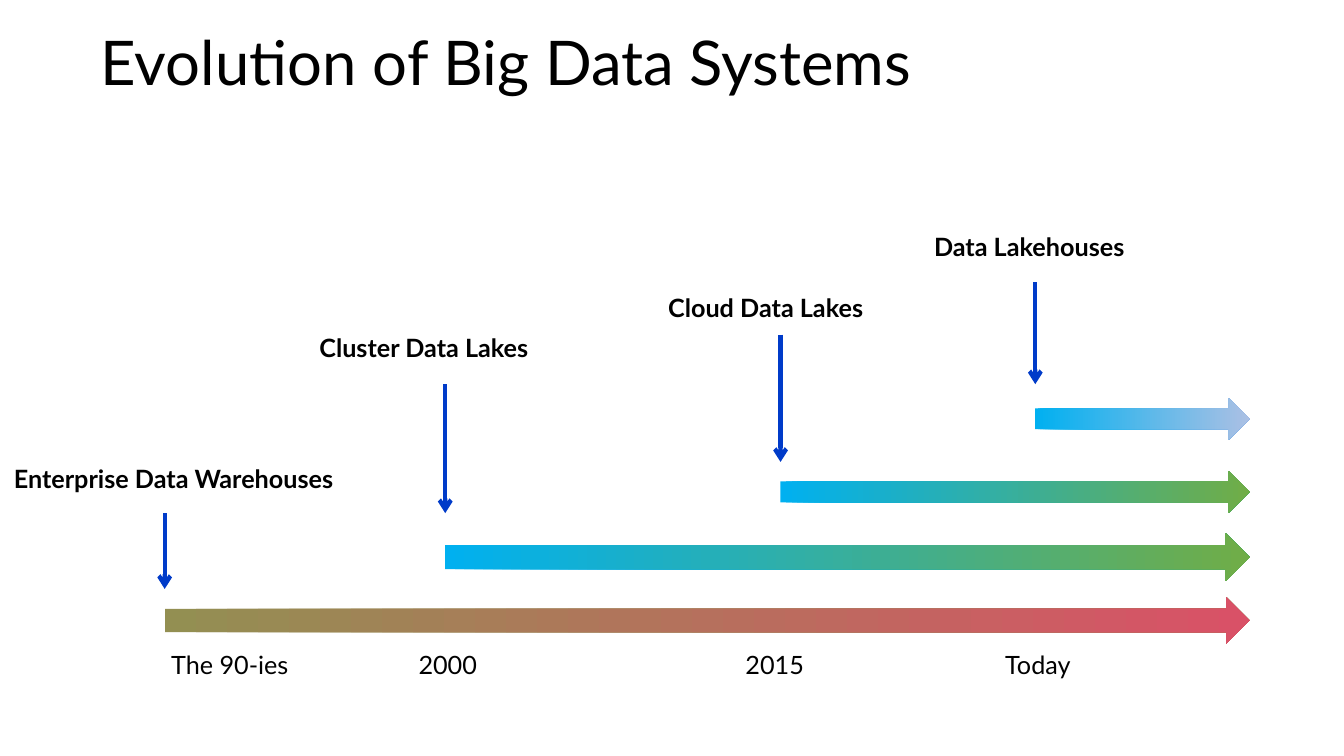
from dataclasses import dataclass

from lxml import etree
from pptx import Presentation
from pptx.dml.color import RGBColor
from pptx.enum.shapes import MSO_CONNECTOR, MSO_SHAPE
from pptx.enum.text import MSO_ANCHOR, PP_ALIGN
from pptx.oxml.ns import qn
from pptx.util import Cm, Pt

RIGHT_ARROW = MSO_SHAPE.RIGHT_ARROW
STRAIGHT = MSO_CONNECTOR.STRAIGHT
LEFT, RIGHT = PP_ALIGN.LEFT, PP_ALIGN.RIGHT
TOP, MIDDLE = MSO_ANCHOR.TOP, MSO_ANCHOR.MIDDLE

FONT = "Lato"
BLACK, BLUE = "000000", "003BC9"
OLIVE, RED = "938F52", "D95167"
CYAN, GREEN, PALE_BLUE = "00B0F0", "70AD47", "ABC0E4"
BAR_END = 31.49
YEAR_TOP = 16.23
TEXT_HEIGHT = 1.02


@dataclass
class Era:
    """One system generation; all lengths are in centimetres."""
    name: str
    label_box: tuple
    year: str
    year_left: float
    year_width: float
    start: float
    bar_top: float
    bar_height: float
    pointer_top: float
    pointer_bottom: float
    colors: tuple


ERAS = [
    Era("Enterprise Data Warehouses", (0.1, 11.56, 10.06), "The 90-ies", 1.37, 6.15,
        4.15, 15.05, 1.17, 12.93, 14.84, (OLIVE, RED)),
    Era("Cluster Data Lakes", (7.8, 8.26, 10.62), "2000", 10.01, 2.26,
        11.22, 13.44, 1.2, 9.68, 12.93, (CYAN, GREEN)),
    Era("Cloud Data Lakes", (16.59, 7.24, 9.5), "2015", 17.82, 2.69,
        19.67, 11.87, 1.05, 8.43, 11.64, (CYAN, GREEN)),
    Era("Data Lakehouses", (23.29, 5.71, 8.46), "Today", 21.59, 5.64,
        26.09, 10.03, 1.05, 7.11, 9.68, (CYAN, PALE_BLUE)),
]


def rgb(color):
    """Turn a hex string into a colour."""
    return RGBColor.from_string(color)


def add_text(slide, text, left, top, width, height=TEXT_HEIGHT, *, size=18,
             bold=False, align=LEFT, anchor=TOP, line_spacing=1.0):
    """Add a wrapping text box with one formatted paragraph."""
    shape = slide.shapes.add_textbox(Cm(left), Cm(top), Cm(width), Cm(height))
    frame = shape.text_frame
    frame.word_wrap = True
    frame.vertical_anchor = anchor
    paragraph = frame.paragraphs[0]
    paragraph.alignment = align
    paragraph.line_spacing = line_spacing
    run = paragraph.add_run()
    run.text = text
    run.font.name = FONT
    run.font.size = Pt(size)
    run.font.bold = bold
    run.font.color.rgb = rgb(BLACK)


def add_bar(slide, left, top, height, colors):
    """Add a gradient block arrow that reaches the common right end."""
    shape = slide.shapes.add_shape(
        RIGHT_ARROW, Cm(left), Cm(top), Cm(BAR_END - left), Cm(height))
    shape.shadow.inherit = False
    shape.line.fill.background()
    shape.fill.gradient()
    shape.fill.gradient_angle = 0
    for stop, color in zip(shape.fill.gradient_stops, colors):
        stop.color.rgb = rgb(color)


def add_pointer(slide, x, top, bottom):
    """Add a vertical line with an open arrowhead at its lower end."""
    connector = slide.shapes.add_connector(STRAIGHT, Cm(x), Cm(top), Cm(x), Cm(bottom))
    connector.line.color.rgb = rgb(BLUE)
    connector.line.width = Pt(3)
    properties = connector.line._get_or_add_ln()
    etree.SubElement(properties, qn("a:tailEnd"), type="arrow")
    etree.SubElement(properties.getparent(), qn("a:effectLst"))


def add_era(slide, era):
    """Add the bar, pointer, name and year of one era."""
    add_bar(slide, era.start, era.bar_top, era.bar_height, era.colors)
    add_pointer(slide, era.start, era.pointer_top, era.pointer_bottom)
    add_text(slide, era.name, *era.label_box, bold=True)
    add_text(slide, era.year, era.year_left, YEAR_TOP, era.year_width, align=RIGHT)


def main():
    """Build and save the slide."""
    presentation = Presentation()
    presentation.slide_width = Cm(33.87)
    presentation.slide_height = Cm(19.05)
    slide = presentation.slides.add_slide(presentation.slide_layouts[6])
    add_text(slide, "Evolution of Big Data Systems", 2.29, 0.41, 29.21, 2.46,
             size=44, anchor=MIDDLE, line_spacing=0.9)
    for era in ERAS:
        add_era(slide, era)
    presentation.save("out.pptx")


if __name__ == "__main__":
    main()
